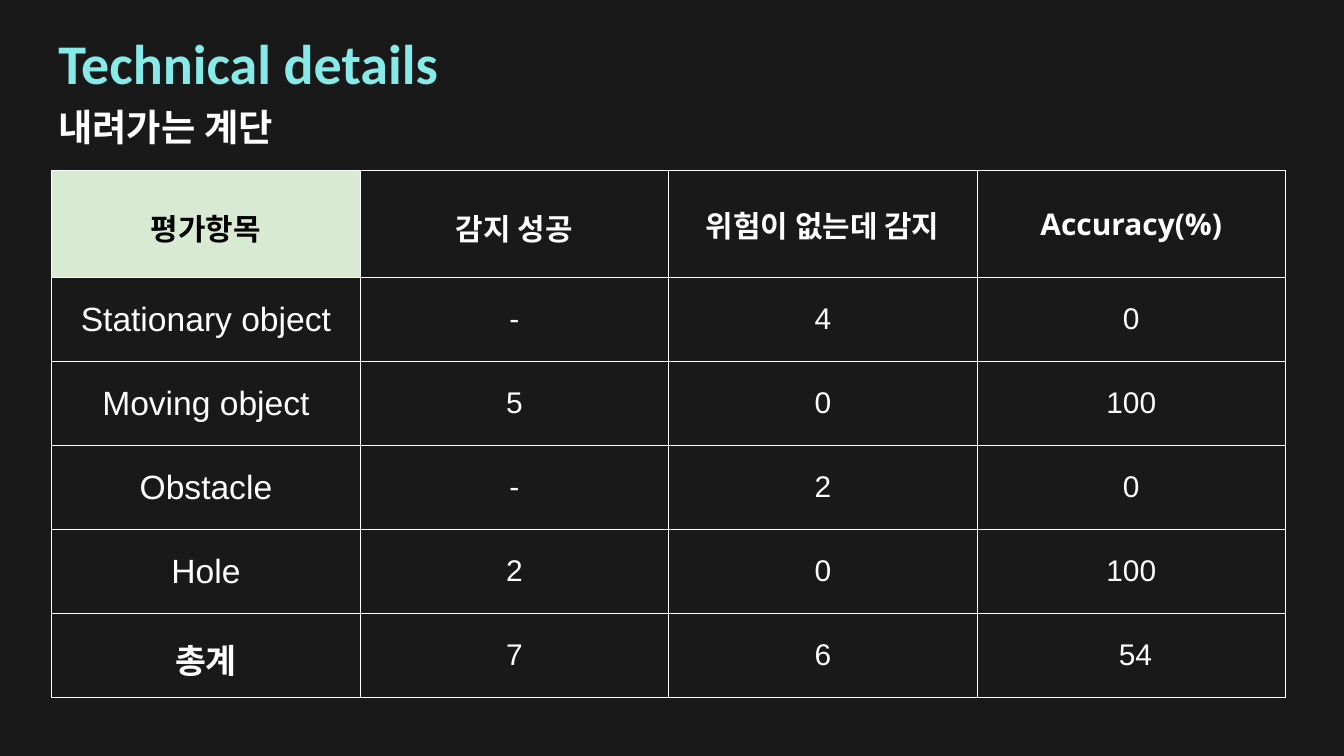
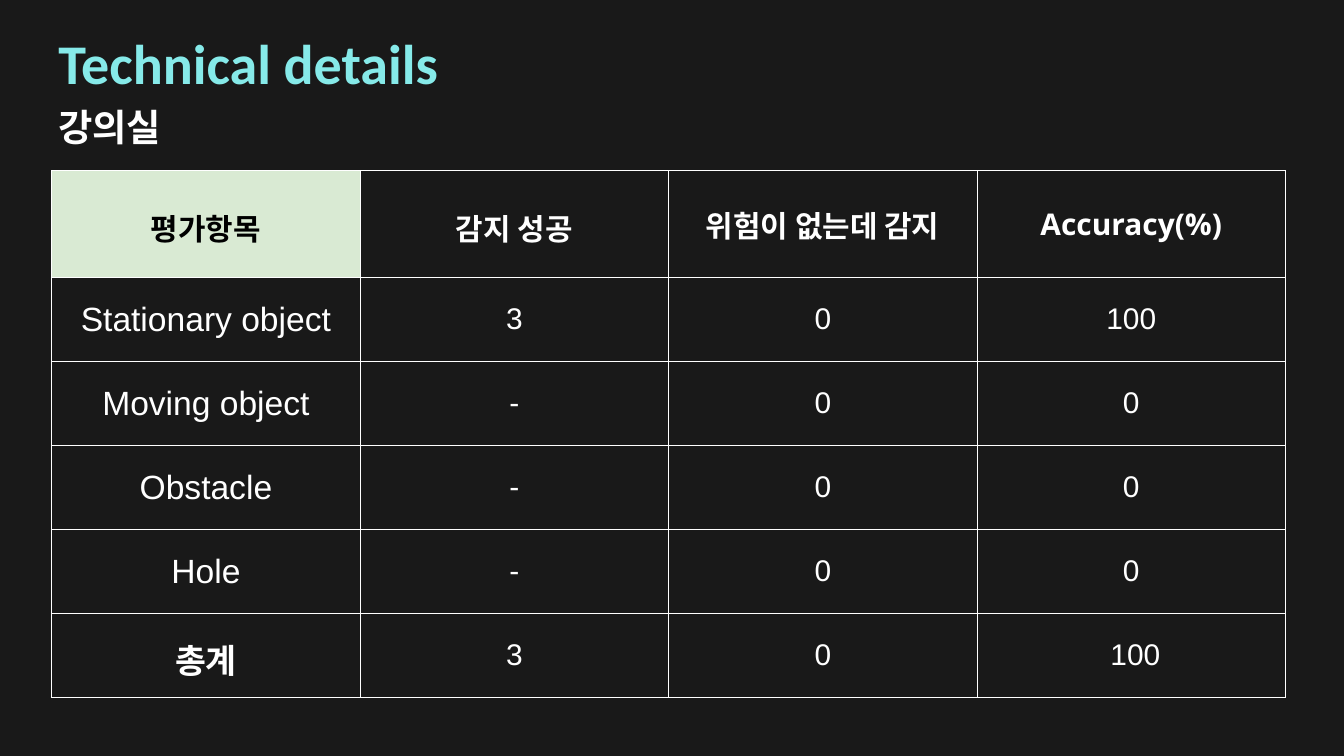
"""Build two evaluation slides, each with a detection accuracy table."""
from lxml.etree import SubElement
from pptx import Presentation
from pptx.dml.color import RGBColor
from pptx.enum.text import MSO_ANCHOR, MSO_AUTO_SIZE, PP_ALIGN
from pptx.oxml.ns import qn
from pptx.util import Pt

PX = 9144
BACKDROP = RGBColor(0x19, 0x19, 0x19)
AQUA = RGBColor(0x86, 0xEA, 0xE9)
WHITE = RGBColor(0xFF, 0xFF, 0xFF)
BLACK = RGBColor(0x00, 0x00, 0x00)
MINT = RGBColor(0xD9, 0xEA, 0xD3)

LEFT = 77
COLUMN_WIDTH = 459
HEADER_HEIGHT = 159
ROW_HEIGHT = 125
HEADINGS = ["평가항목", "감지 성공", "위험이 없는데 감지", "Accuracy(%)"]
HEADING_FONTS = ["Noto Sans", "Noto Sans", "Arial", "Noto Sans"]
ITEMS = ["Stationary object", "Moving object", "Obstacle", "Hole", "총계"]
RESULTS = {
    "내려가는 계단": [
        ["-", "4", "0"],
        ["5", "0", "100"],
        ["-", "2", "0"],
        ["2", "0", "100"],
        ["7", "6", " 54"],
    ],
    "강의실": [
        ["3", "0", "100"],
        ["-", "0", "0"],
        ["-", "0", "0"],
        ["-", "0", "0"],
        ["3", "0", " 100"],
    ],
}


class Deck:
    """Hold the shared style and the current slide."""

    def __init__(self):
        """Start an empty dark deck."""
        self.prs = Presentation()
        self.prs.slide_width, self.prs.slide_height = 2000 * PX, 1125 * PX
        backdrop = self.prs.slide_master.background.fill
        backdrop.solid()
        backdrop.fore_color.rgb = BACKDROP
        self.slide = None

    def add_slide(self):
        """Make a new blank slide current."""
        self.slide = self.prs.slides.add_slide(self.prs.slide_layouts[6])

    def run(self, paragraph, text, size, font="Arial", color=WHITE, bold=False):
        """Add one styled run."""
        run = paragraph.add_run()
        run.text = text
        run.font.size, run.font.name, run.font.bold = Pt(size), font, bold
        run.font.color.rgb = color

    def heading(self, text, top, width, height, size, color):
        """Add a bold heading at the left margin."""
        box = self.slide.shapes.add_textbox(LEFT * PX, top * PX, width * PX, height * PX)
        frame = box.text_frame
        frame.word_wrap = True
        frame.auto_size = MSO_AUTO_SIZE.SHAPE_TO_FIT_TEXT
        self.run(frame.paragraphs[0], text, size, "Calibri", color, True)

    def borders(self, cell):
        """Draw thin white lines round a cell."""
        properties = cell._tc.get_or_add_tcPr()
        for side in ("a:lnL", "a:lnR", "a:lnT", "a:lnB"):
            line = SubElement(properties, qn(side), w=str(Pt(0.75)))
            fill = SubElement(line, qn("a:solidFill"))
            SubElement(fill, qn("a:srgbClr"), val=str(WHITE))

    def cell(self, cell, text, size, inset=(3, 2), spacing=None, fill=None, **style):
        """Fill one table cell."""
        self.borders(cell)
        if fill is None:
            cell.fill.background()
        else:
            cell.fill.solid()
            cell.fill.fore_color.rgb = fill
        cell.margin_left = cell.margin_right = inset[0] * PX
        cell.margin_top = cell.margin_bottom = inset[1] * PX
        cell.vertical_anchor = MSO_ANCHOR.MIDDLE
        paragraph = cell.text_frame.paragraphs[0]
        paragraph.alignment = PP_ALIGN.CENTER
        if spacing:
            paragraph.line_spacing = spacing
        self.run(paragraph, text, size, **style)

    def results_table(self, results):
        """Add the table of detections by item."""
        rows, columns = len(ITEMS) + 1, len(HEADINGS)
        height = HEADER_HEIGHT + len(ITEMS) * ROW_HEIGHT
        table = self.slide.shapes.add_table(
            rows, columns, LEFT * PX, 254 * PX, columns * COLUMN_WIDTH * PX, height * PX
        ).table
        table.first_row = table.horz_banding = False
        for index, row in enumerate(table.rows):
            row.height = (ROW_HEIGHT if index else HEADER_HEIGHT) * PX

        for column, (heading, font) in enumerate(zip(HEADINGS, HEADING_FONTS)):
            self.cell(
                table.cell(0, column), heading, 32, font=font, bold=True,
                spacing=1.15 if column < 2 else None,
                fill=None if column else MINT,
                color=WHITE if column else BLACK,
            )
        for row, (item, values) in enumerate(zip(ITEMS, results), start=1):
            total = row == len(ITEMS)
            self.cell(
                table.cell(row, 0), item, 36, bold=total,
                font="Noto Sans" if total else "Arial",
                spacing=1.15 if total else None,
            )
            for column, value in enumerate(values, start=1):
                inset = (10, 10) if total else (3, 2)
                self.cell(table.cell(row, column), value, 32, inset)


def main():
    """Build and save the deck."""
    deck = Deck()
    for place, results in RESULTS.items():
        deck.add_slide()
        deck.heading("Technical details", 38, 1027, 111, 60, AQUA)
        deck.heading(place, 150, 857, 77, 40, WHITE)
        deck.results_table(results)
    deck.prs.save("out.pptx")


if __name__ == "__main__":
    main()
